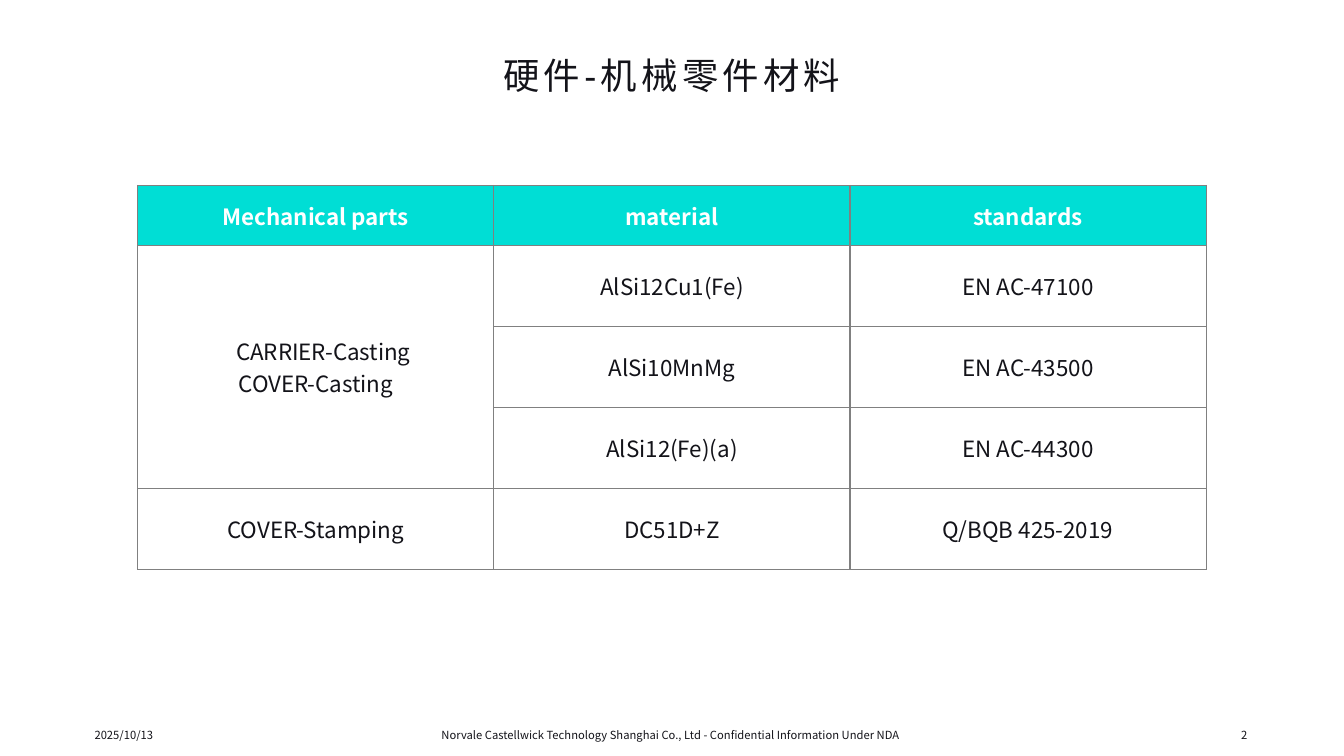
from dataclasses import dataclass

from lxml import etree
from pptx import Presentation
from pptx import util as u
from pptx.dml.color import RGBColor
from pptx.enum import text
from pptx.oxml import ns


@dataclass(frozen=True)
class Theme:
    ink: str = "131319"
    header_ink: str = "FFFFFF"
    header_fill: str = "00DED5"
    rule: str = "808080"
    rule_width: float = 1
    body_font: str = "Noto Sans CJK SC"
    title_font: str = "Arial"
    title_size: float = 26
    title_spacing: float = 3
    table_size: float = 16
    footer_size: float = 8


THEME = Theme()
ALIGN = text.PP_ALIGN
MIDDLE = text.MSO_ANCHOR.MIDDLE

HEADINGS = ["Mechanical parts", "material", "standards"]
CASTINGS = ["CARRIER-Casting", "COVER-Casting"]
MATERIALS = [
    (CASTINGS, "AlSi12Cu1(Fe)", "EN AC-47100"),
    (None, "AlSi10MnMg", "EN AC-43500"),
    (None, "AlSi12(Fe)(a)", "EN AC-44300"),
    ("COVER-Stamping", "DC51D+Z", "Q/BQB 425-2019"),
]
CARRIER_INDENT = 10.8


def apply(target, values):
    for name, value in values.items():
        setattr(target, name, value)


def write(paragraph, words, align, color=THEME.ink, **font):
    """Fill one paragraph with a single formatted run."""
    paragraph.alignment = align
    run = paragraph.add_run()
    run.text = words
    apply(run.font, {"name": THEME.body_font, **font})
    run.font.color.rgb = RGBColor.from_string(color)
    east_asian = etree.SubElement(run.font._element, ns.qn("a:ea"))
    east_asian.set("typeface", THEME.body_font)
    return run


def add_text(slide, box, words, align, frame_format, **font):
    frame = slide.shapes.add_textbox(*map(u.Pt, box)).text_frame
    apply(frame, {"word_wrap": True, **frame_format})
    return write(frame.paragraphs[0], words, align, **font)


def add_title(slide, box):
    title = add_text(slide, box, "硬件-机械零件材料", ALIGN.CENTER,
                     {"margin_top": 0, "margin_bottom": 0},
                     name=THEME.title_font, size=u.Pt(THEME.title_size))
    title.font._element.set("spc", str(int(THEME.title_spacing * 100)))


def add_borders(cell):
    properties = cell._tc.get_or_add_tcPr()
    for side in ("lnL", "lnR", "lnT", "lnB"):
        line = etree.SubElement(properties, ns.qn(f"a:{side}"),
                                w=str(u.Pt(THEME.rule_width)))
        fill = etree.SubElement(line, ns.qn("a:solidFill"))
        etree.SubElement(fill, ns.qn("a:srgbClr"), val=THEME.rule)


def add_materials_table(slide, box, header_height):
    left, top, width, height = box
    rows = [HEADINGS, *MATERIALS]
    table = slide.shapes.add_table(len(rows), len(HEADINGS),
                                   *map(u.Pt, box)).table
    table.horz_banding = False
    row_height = (height - header_height) / len(MATERIALS)
    for column in table.columns:
        column.width = u.Pt(width / len(HEADINGS))

    for row_index, entries in enumerate(rows):
        is_header = row_index == 0
        table.rows[row_index].height = u.Pt(
            header_height if is_header else row_height)
        for column_index, entry in enumerate(entries):
            cell = table.cell(row_index, column_index)
            cell.vertical_anchor = MIDDLE
            add_borders(cell)
            if is_header:
                cell.fill.solid()
                cell.fill.fore_color.rgb = RGBColor.from_string(
                    THEME.header_fill)
            else:
                cell.fill.background()
            if entry is None:
                continue
            lines = [entry] if isinstance(entry, str) else entry
            for line_index, line in enumerate(lines):
                frame = cell.text_frame
                paragraph = (frame.add_paragraph() if line_index
                             else frame.paragraphs[0])
                write(paragraph, line, ALIGN.CENTER,
                      THEME.header_ink if is_header else THEME.ink,
                      size=u.Pt(THEME.table_size), bold=is_header)

    # Castings share one cell; the carrier line sits slightly to the right
    castings = table.cell(1, 0)
    castings.merge(table.cell(len(CASTINGS) + 1, 0))
    carrier = castings.text_frame.paragraphs[0]
    carrier._p.get_or_add_pPr().set("marL", str(u.Pt(CARRIER_INDENT)))


def add_footer(slide, box):
    left, top, width, height = box
    side_width, notice_width = 216, 364.4
    notice = ("Norvale Castellwick Technology Shanghai Co., Ltd - "
              "Confidential Information Under NDA")
    parts = [
        (left, side_width, "2025/10/13", ALIGN.LEFT),
        (left + (width - notice_width) / 2, notice_width, notice,
         ALIGN.CENTER),
        (left + width - side_width, side_width, "2", ALIGN.RIGHT),
    ]
    for part_left, part_width, words, align in parts:
        add_text(slide, (part_left, top, part_width, height), words, align,
                 {"vertical_anchor": MIDDLE}, size=u.Pt(THEME.footer_size))


def main():
    deck = Presentation()
    apply(deck, {"slide_width": u.Pt(960), "slide_height": u.Pt(540)})
    slide = deck.slides.add_slide(deck.slide_layouts[6])
    add_footer(slide, (60.5, 510.5, 837.5, 28.8))
    add_title(slide, (61.2, 38.2, 837.4, 38.9))
    add_materials_table(slide, (98.4, 132.5, 763.2, 274.4), header_height=42.8)
    deck.save("out.pptx")


if __name__ == "__main__":
    main()
